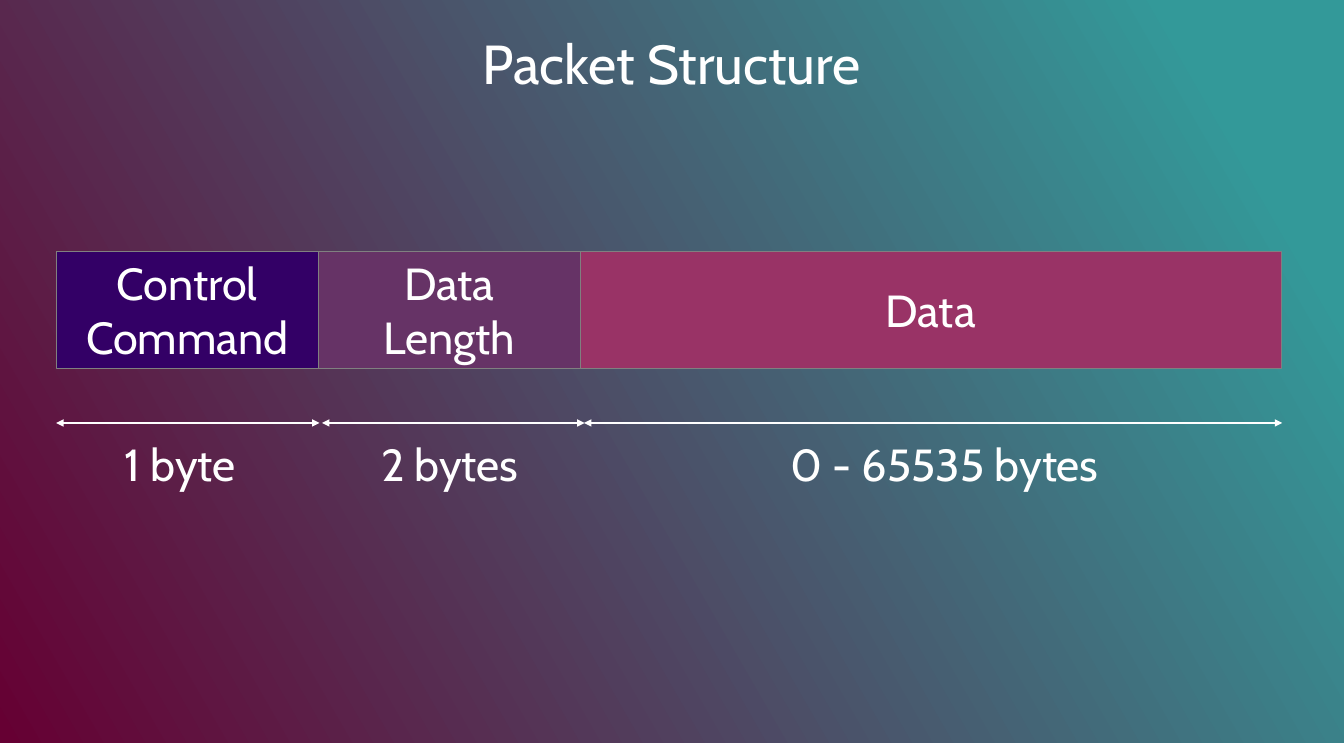
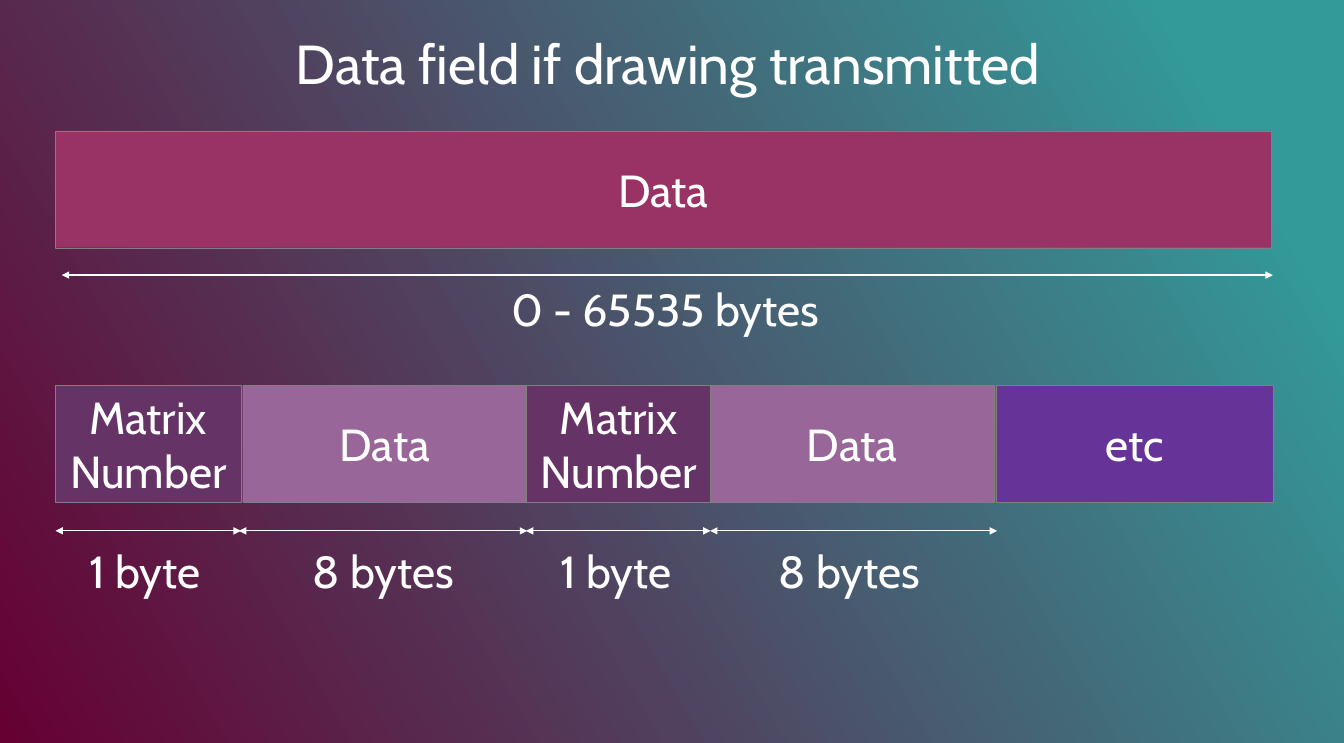
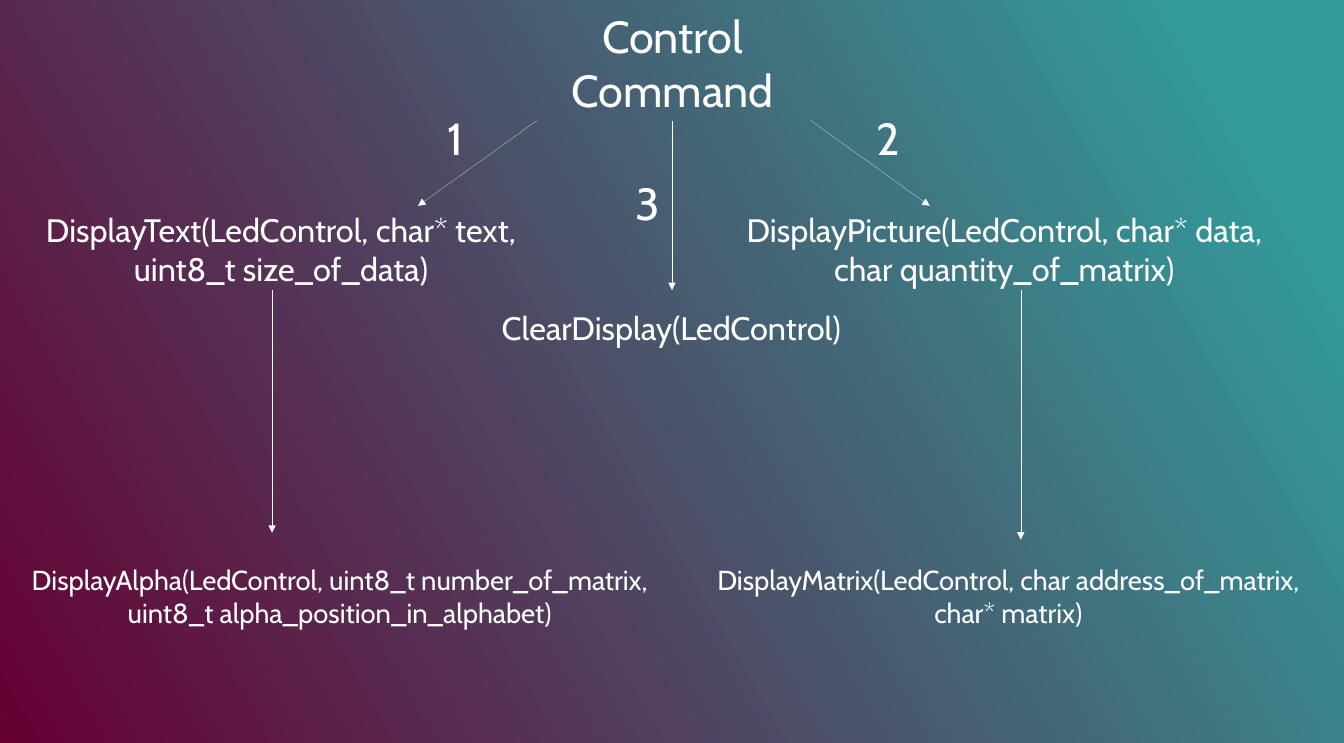
from lxml import etree
from pptx import Presentation
from pptx.dml.color import RGBColor
from pptx.enum.shapes import MSO_CONNECTOR, MSO_SHAPE
from pptx.enum.text import MSO_ANCHOR, PP_ALIGN
from pptx.oxml.ns import qn
from pptx.util import Pt

RECT, STRAIGHT = MSO_SHAPE.RECTANGLE, MSO_CONNECTOR.STRAIGHT
TOP, MIDDLE, CENTER = MSO_ANCHOR.TOP, MSO_ANCHOR.MIDDLE, PP_ALIGN.CENTER

FONT = "Cabin"
WIDTH, HEIGHT = 1077, 595.5
FIELD_HEIGHT, LABEL_HEIGHT = 93.5, 56
TITLE_SIZE, LABEL_SIZE = 44, 36
HAIRLINE = 0.1
COLORS = {
    "teal": "339999", "maroon": "660033", "white": "FFFFFF", "border": "808080",
    "indigo": "330066", "plum": "663366", "berry": "993366",
    "lilac": "996699", "violet": "663399",
}

# Field: text, fill, left, width, measure
# Measure: text, label left, label width, arrow start, arrow end
PACKET_SLIDES = [
    {
        "title": ("Packet Structure", 307.5, 20, 462, 60),
        "rows": [
            {"top": 201.5, "arrow": 339, "label": 346.5, "fields": [
                ("Control\nCommand", "indigo", 45, 210, ("1 byte", 76.5, 136, 45, 256)),
                ("Data\nLength", "plum", 255, 210, ("2 bytes", 292.5, 136, 258, 468.5)),
                ("Data", "berry", 465, 561.5, ("0 - 65535 bytes", 615, 284, 468, 1027.5)),
            ]},
        ],
    },
    {
        "title": ("Data field if drawing transmitted", 158.5, -3, 754, 106),
        "rows": [
            {"top": 105, "arrow": 220.5, "label": 222, "fields": [
                ("Data", "berry", 44.5, 974, ("0 - 65535 bytes", 391, 284, 49.5, 1020)),
            ]},
            {"top": 309, "arrow": 425.5, "label": 432.5, "fields": [
                ("Matrix\nNumber", "plum", 44.5, 148.5, ("1 byte", 48, 136, 44.5, 193)),
                ("Data", "lilac", 194.5, 227.5, ("8 bytes", 201, 212, 191.5, 422.5)),
                ("Matrix\nNumber", "plum", 421.5, 148.5, ("1 byte", 425.5, 136, 421.5, 569.5)),
                ("Data", "lilac", 569, 227.5, ("8 bytes", 574.5, 212, 569, 799)),
                ("etc", "violet", 798.5, 222, None),
            ]},
        ],
    },
]

# Text, left, top, width, height, size
COMMAND_TEXTS = [
    ("Control\nCommand", 446.5, 3.5, 185, 154, LABEL_SIZE),
    ("DisplayText(LedControl, char* text, uint8_t size_of_data)", 8.5, 165, 433.5, 69, 26),
    ("DisplayPicture(LedControl, char* data, char quantity_of_matrix)",
     572.5, 165, 465, 69, 26),
    ("ClearDisplay(LedControl)", 385, 243.5, 306, 69, 26),
    ("DisplayMatrix(LedControl, char address_of_matrix, char* matrix)",
     544.5, 448, 527, 60, 22),
    ("DisplayAlpha(LedControl, uint8_t number_of_matrix, uint8_t alpha_position_in_alphabet)",
     0, 448, 544.5, 86, 22),
    ("1", 345, 85, 40, LABEL_HEIGHT, LABEL_SIZE),
    ("2", 692, 85.5, 40, LABEL_HEIGHT, LABEL_SIZE),
    ("3", 499, 137, 40, LABEL_HEIGHT, LABEL_SIZE),
]
# Start x, start y, end x, end y
COMMAND_ARROWS = [
    (649.5, 96.5, 745, 165),
    (538.5, 97, 538.5, 232.5),
    (430.5, 96.5, 335, 165),
    (218, 232.5, 218, 427),
    (818, 232.5, 818, 432.5),
]


def rgb(name):
    return RGBColor.from_string(COLORS[name])


def write(tf, text, size, anchor):
    """Fill a text frame with one centred paragraph per line of text."""
    tf.word_wrap = True
    tf.vertical_anchor = anchor
    for i, line in enumerate(text.split("\n")):
        p = tf.paragraphs[0] if i == 0 else tf.add_paragraph()
        p.alignment = CENTER
        r = p.add_run()
        r.text = line
        r.font.name, r.font.size = FONT, Pt(size)
        r.font.color.rgb = rgb("white")


def add_text(s, text, left, top, width, height, size, anchor=TOP):
    sp = s.shapes.add_textbox(Pt(left), Pt(top), Pt(width), Pt(height))
    write(sp.text_frame, text, size, anchor)
    return sp.text_frame


def add_title(s, text, left, top, width, height):
    tf = add_text(s, text, left, top, width, height, TITLE_SIZE, MIDDLE)
    tf.margin_left = tf.margin_right = tf.margin_top = tf.margin_bottom = 0


def add_arrow(s, x1, y1, x2, y2, weight=HAIRLINE, ends=("tailEnd",)):
    cx = s.shapes.add_connector(STRAIGHT, Pt(x1), Pt(y1), Pt(x2), Pt(y2))
    cx.line.color.rgb = rgb("white")
    cx.line.width = Pt(weight)
    sp_pr = cx._element.spPr
    ln = sp_pr.find(qn("a:ln"))
    for end in ends:
        etree.SubElement(ln, qn("a:" + end), type="triangle")
    etree.SubElement(sp_pr, qn("a:effectLst"))


def add_field(s, text, fill, left, top, width):
    sp = s.shapes.add_shape(RECT, Pt(left), Pt(top), Pt(width), Pt(FIELD_HEIGHT))
    sp.shadow.inherit = False
    sp.fill.solid()
    sp.fill.fore_color.rgb = rgb(fill)
    sp.line.color.rgb = rgb("border")
    sp.line.width = Pt(HAIRLINE)
    write(sp.text_frame, text, LABEL_SIZE, MIDDLE)


def add_row(s, row):
    """Draw a row of packet fields with their measures below."""
    for text, fill, left, width, measure in row["fields"]:
        add_field(s, text, fill, left, row["top"], width)
        if measure:
            label, label_left, label_width, start, end = measure
            add_arrow(s, start, row["arrow"], end, row["arrow"], 1, ("headEnd", "tailEnd"))
            add_text(s, label, label_left, row["label"], label_width,
                     LABEL_HEIGHT, LABEL_SIZE)


def set_background(master):
    fill = master.background.fill
    fill.gradient()
    fill.gradient_angle = 210
    for stop, (name, position) in zip(fill.gradient_stops, [("teal", 0.1), ("maroon", 1)]):
        stop.color.rgb = rgb(name)
        stop.position = position


def main():
    prs = Presentation()
    prs.slide_width, prs.slide_height = Pt(WIDTH), Pt(HEIGHT)
    set_background(prs.slide_master)
    blank = prs.slide_layouts[6]

    for content in PACKET_SLIDES:
        s = prs.slides.add_slide(blank)
        add_title(s, *content["title"])
        for row in content["rows"]:
            add_row(s, row)

    s = prs.slides.add_slide(blank)
    for item in COMMAND_TEXTS:
        add_text(s, *item)
    for arrow in COMMAND_ARROWS:
        add_arrow(s, *arrow)

    prs.save("out.pptx")


if __name__ == "__main__":
    main()
